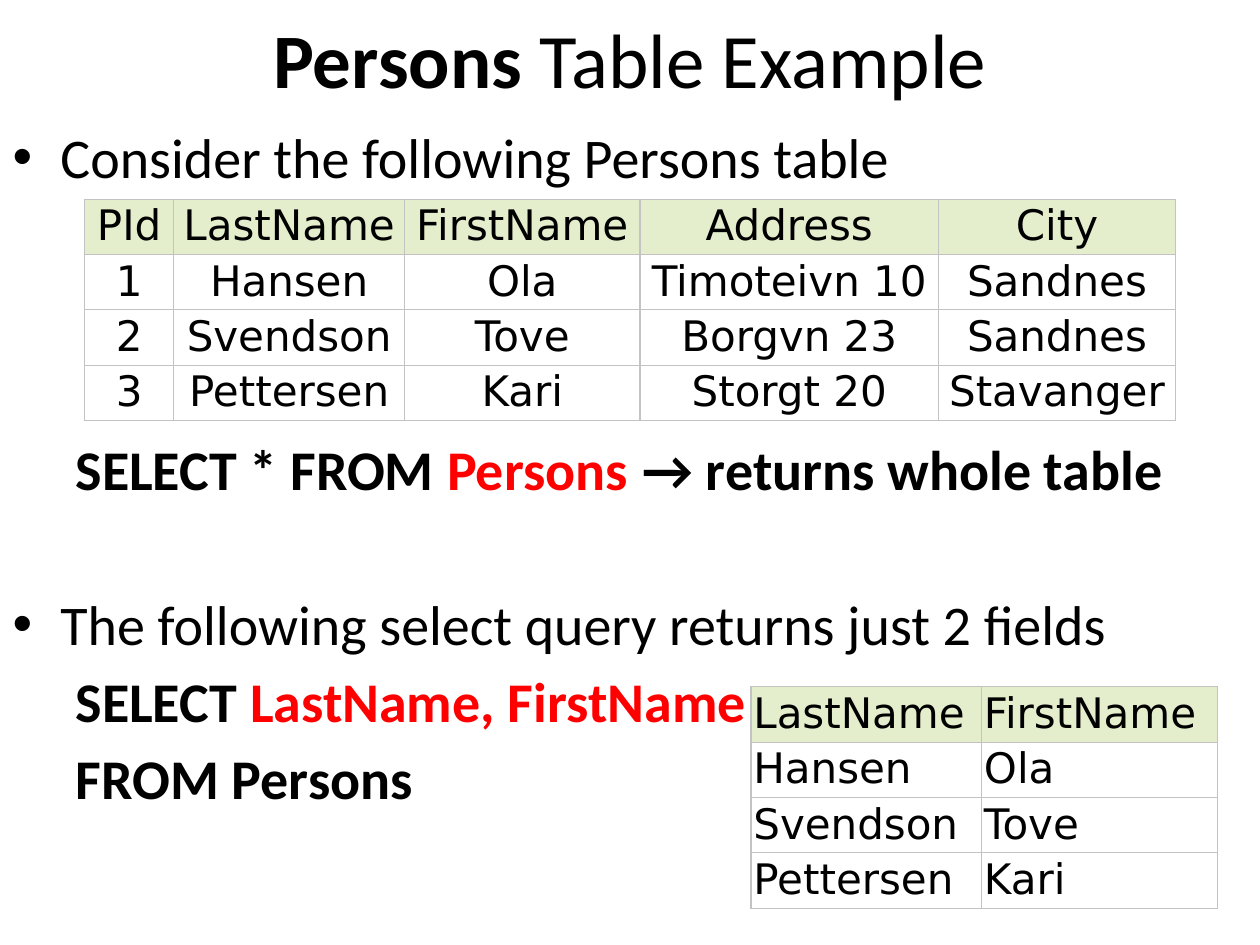
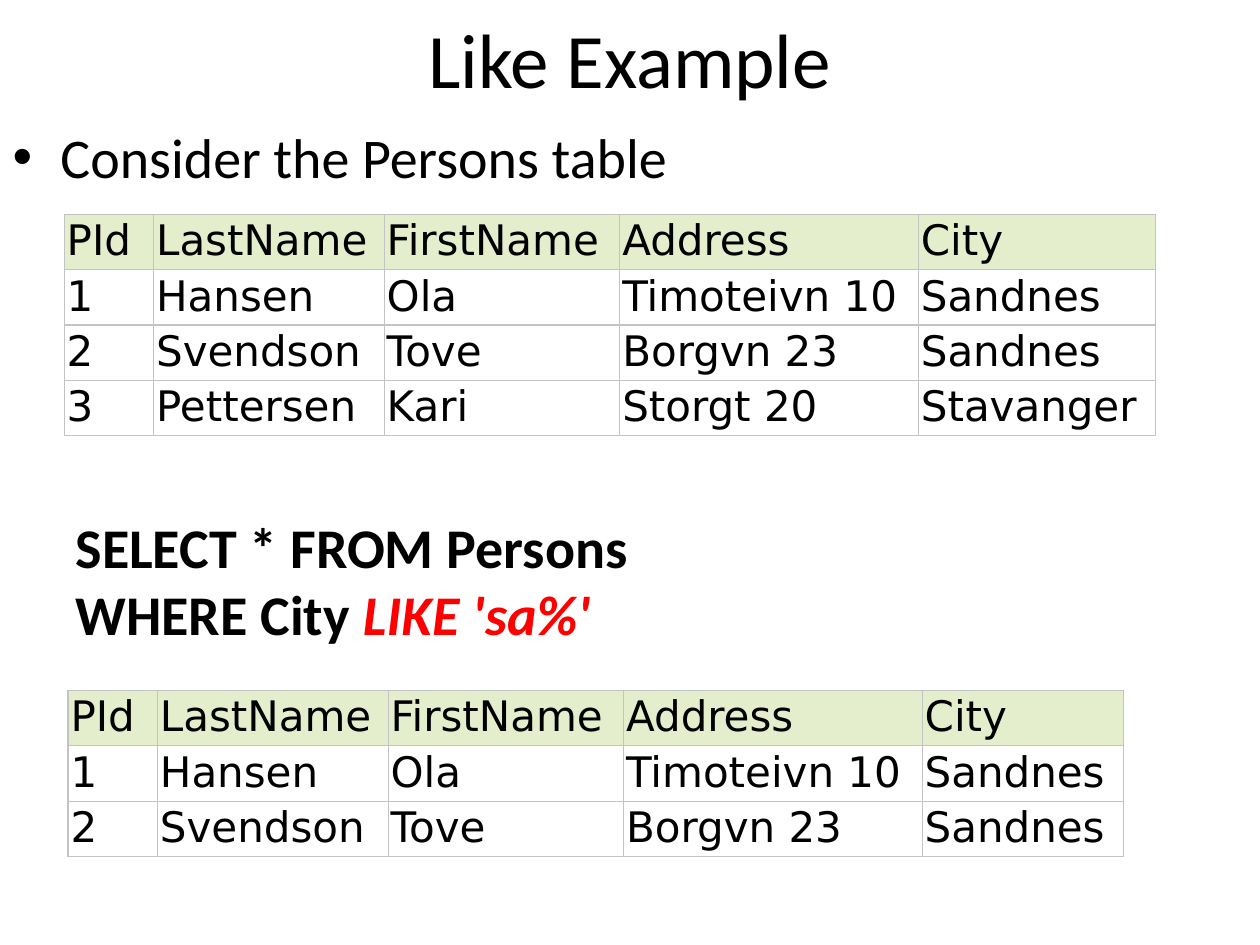
"""Build two slides on SQL select queries with sample tables."""
from dataclasses import dataclass

from lxml.etree import SubElement as Sub
from pptx import Presentation
from pptx.dml.color import RGBColor as Rgb
from pptx.enum.text import MSO_ANCHOR as Anchor, MSO_AUTO_SIZE as Fit, PP_ALIGN as Align
from pptx.oxml.ns import qn
from pptx.util import Inches, Pt


@dataclass(frozen=True)
class Theme:
    ink: str = "000000"
    red: str = "FF0000"
    head: str = "E5EECC"
    cell: str = "FFFFFF"
    edge: str = "C3C3C3"
    font: str = "Calibri"
    grid: str = "DejaVu Sans"
    big: int = 44
    text: int = 32
    small: int = 24
    line: float = 39
    gap: float = 5.7
    rule: float = 0.75


PEOPLE = [
    ("PId", "LastName", "FirstName", "Address", "City"),
    ("1", "Hansen", "Ola", "Timoteivn 10", "Sandnes"),
    ("2", "Svendson", "Tove", "Borgvn 23", "Sandnes"),
    ("3", "Pettersen", "Kari", "Storgt 20", "Stavanger"),
]
NAMES = [row[1:3] for row in PEOPLE]
WIDTHS = (0.71, 1.83, 1.87, 2.37, 1.88)
BAND = 0.92
INDENT = 0.38
NOTE = 5.38
ROW = 0.44


class Deck:
    def __init__(self, theme):
        self.theme = theme
        self.prs = Presentation()
        self.prs.slide_width, self.prs.slide_height = Inches(10), Inches(7.5)
        self.slide = self.body = None

    def run(self, para, text, size, font=None, color=None, bold=False, slant=False):
        run = para.add_run()
        run.text = text
        style = run.font
        style.size, style.name = Pt(size), font or self.theme.font
        style.bold, style.italic = bold, slant
        style.color.rgb = Rgb.from_string(color or self.theme.ink)

    def place(self, shape, top, height):
        shape.left, shape.top = Inches(0), Inches(top)
        shape.width, shape.height = Inches(10), Inches(height)
        shape.text_frame.auto_size = Fit.NONE
        shape.text_frame.word_wrap = True
        return shape.text_frame

    def page(self, *parts):
        self.slide = self.prs.slides.add_slide(self.prs.slide_layouts[1])
        title, body = self.slide.placeholders
        frame = self.place(title, 0, BAND)
        frame.vertical_anchor = Anchor.MIDDLE
        para = frame.paragraphs[0]
        para.alignment = Align.CENTER
        for text, bold in parts:
            self.run(para, text, self.theme.big, bold=bold)
        self.body = self.place(body, BAND, 7.5 - BAND)

    def para(self, left, hang, skip):
        first = self.body.paragraphs[0]
        para = self.body.add_paragraph() if first.runs else first
        space = self.theme.line * skip + self.theme.gap * (skip + 1)
        para.space_before = Pt(space if first.runs else 0)
        props = para._p.get_or_add_pPr()
        props.set("marL", str(Inches(left)))
        props.set("indent", str(Inches(hang)))
        return para, props

    def point(self, text, skip=0):
        para, _ = self.para(INDENT, -INDENT, skip)
        self.run(para, text, self.theme.text)

    def query(self, *lines, skip=0):
        para, props = self.para(0, 0, skip)
        Sub(props, qn("a:buNone"))
        tabs = Sub(props, qn("a:tabLst"))
        for pos in (INDENT, NOTE):
            Sub(tabs, qn("a:tab"), pos=str(Inches(pos)), algn="l")
        for num, line in enumerate(lines):
            if num:
                para.add_line_break()
            lead = "\t"
            for text, color, slant in line:
                self.run(para, lead + text, self.theme.text, color=color, bold=True, slant=slant)
                lead = ""

    def border(self, cell):
        props = cell._tc.get_or_add_tcPr()
        for side in ("lnL", "lnR", "lnT", "lnB"):
            line = Sub(props, qn("a:" + side), w=str(Pt(self.theme.rule)))
            Sub(Sub(line, qn("a:solidFill")), qn("a:srgbClr"), val=self.theme.edge)

    def table(self, left, top, widths, rows, align=Align.LEFT):
        frame = self.slide.shapes.add_table(
            len(rows), len(widths), Inches(left), Inches(top),
            Inches(sum(widths)), Inches(ROW * len(rows)))
        table = frame.table
        table.first_row = table.horz_banding = False
        for col, width in zip(table.columns, widths):
            col.width = Inches(width)
        for num, row in enumerate(rows):
            table.rows[num].height = Inches(ROW)
            for col, text in enumerate(row):
                cell = table.cell(num, col)
                cell.margin_left = cell.margin_right = Inches(0.02)
                cell.margin_top = cell.margin_bottom = Inches(0.02)
                self.border(cell)
                cell.fill.solid()
                cell.fill.fore_color.rgb = Rgb.from_string(
                    self.theme.cell if num else self.theme.head)
                para = cell.text_frame.paragraphs[0]
                para.alignment = align
                self.run(para, text, self.theme.small, self.theme.grid)


def main():
    theme = Theme()
    ink, red = theme.ink, theme.red
    deck = Deck(theme)

    deck.page(("Persons", True), (" Table Example", False))
    deck.point("Consider the following Persons table")
    deck.query([("SELECT * FROM ", ink, False), ("Persons", red, False),
                ("\t→ returns whole table", ink, False)], skip=3)
    deck.point("The following select query returns just 2 fields", skip=1)
    deck.query([("SELECT ", ink, False), ("LastName, FirstName", red, False)])
    deck.query([("FROM Persons", ink, False)])
    deck.table(0.67, 1.58, WIDTHS, PEOPLE, Align.CENTER)
    deck.table(5.96, 5.45, WIDTHS[1:3], NAMES)

    deck.page(("Like Example", False))
    deck.point("Consider the Persons table")
    deck.query([("SELECT * FROM Persons", ink, False)],
               [("WHERE City ", ink, False), ("LIKE 'sa%'", red, True)], skip=4)
    deck.table(0.51, 1.7, WIDTHS, PEOPLE)
    deck.table(0.54, 5.48, WIDTHS[:4] + (1.6,), PEOPLE[:3])

    deck.prs.save("out.pptx")


if __name__ == "__main__":
    main()
